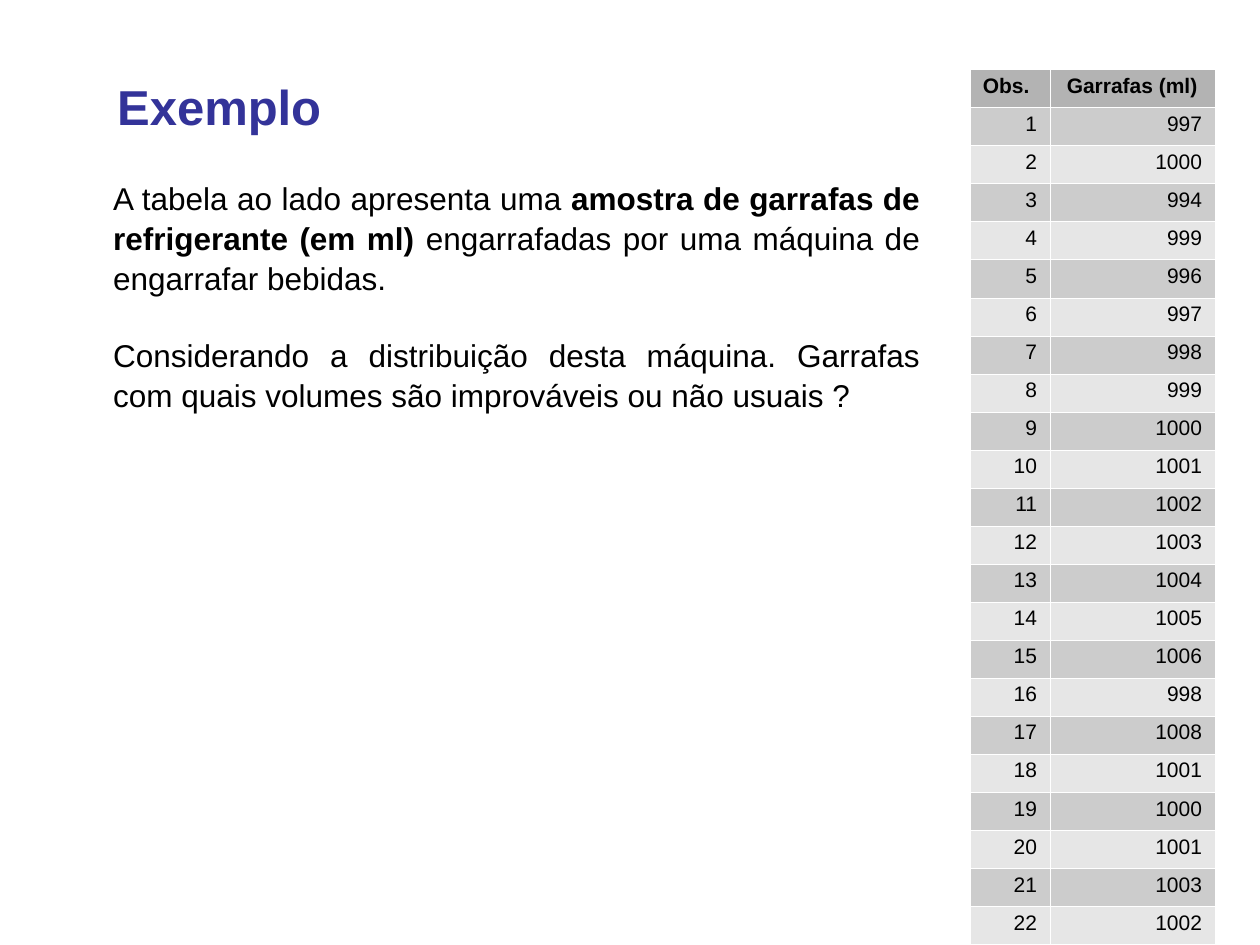
from lxml import etree
from pptx import Presentation
from pptx.dml.color import RGBColor
from pptx.enum.text import MSO_ANCHOR, PP_ALIGN
from pptx.oxml.ns import qn
from pptx.util import Inches, Pt

LEFT, CENTER, RIGHT = PP_ALIGN.LEFT, PP_ALIGN.CENTER, PP_ALIGN.RIGHT
JUSTIFY = PP_ALIGN.JUSTIFY
TOP = MSO_ANCHOR.TOP

FONT = "Arial"
COLORS = {
    "title": "333399",
    "text": "000000",
    "header": "B3B3B3",
    "odd": "CCCCCC",
    "even": "E6E6E6",
    "border": "FFFFFF",
}

# Boxes in inches: left, top, width, height
TITLE_BOX = (0.83, 0.56, 8.51, 1.18)
BODY_BOX = (0.8, 1.36, 6.6, 2.04)
TABLE_BOX = (7.7, 0.55, 1.94, 6.95)

TITLE = "Exemplo"
BODY = [
    [
        ("A tabela ao lado apresenta uma ", False),
        ("amostra de garrafas de refrigerante (em ml) ", True),
        ("engarrafadas por uma máquina de engarrafar bebidas.", False),
    ],
    [
        ("Considerando a distribuição desta máquina. Garrafas com quais "
         "volumes são improváveis ou não usuais ?", False),
    ],
]
HEADERS = ("Obs.", "Garrafas (ml)")
VOLUMES = [997, 1000, 994, 999, 996, 997, 998, 999, 1000, 1001, 1002,
           1003, 1004, 1005, 1006, 998, 1008, 1001, 1000, 1001, 1003, 1002]


def style_font(font, size, color, bold=False):
    font.name = FONT
    font.size = Pt(size)
    font.bold = bold
    font.color.rgb = RGBColor.from_string(COLORS[color])


def add_title(slide, box):
    title = slide.shapes.title
    title.left, title.top, title.width, title.height = map(Inches, box)
    text_frame = title.text_frame
    text_frame.text = TITLE
    text_frame.vertical_anchor = TOP
    paragraph = text_frame.paragraphs[0]
    paragraph.alignment = LEFT
    style_font(paragraph.runs[0].font, 28, "title", bold=True)


def add_body(slide, box):
    text_frame = slide.shapes.add_textbox(*map(Inches, box)).text_frame
    text_frame.word_wrap = True
    for index, parts in enumerate(BODY):
        paragraph = text_frame.paragraphs[0] if index == 0 else text_frame.add_paragraph()
        paragraph.alignment = JUSTIFY
        paragraph.line_spacing = 1.05
        if index:
            paragraph.space_before = Pt(21.7)  # one line
        for text, bold in parts:
            run = paragraph.add_run()
            run.text = text
            style_font(run.font, 18, "text", bold)


def set_borders(cell):
    properties = cell._tc.get_or_add_tcPr()
    for side in ("a:lnL", "a:lnR", "a:lnT", "a:lnB"):
        line = etree.SubElement(properties, qn(side), w=str(Pt(0.06)))
        fill = etree.SubElement(line, qn("a:solidFill"))
        etree.SubElement(fill, qn("a:srgbClr"), val=COLORS["border"])


def fill_cell(cell, text, alignment, color, bold):
    set_borders(cell)
    cell.fill.solid()
    cell.fill.fore_color.rgb = RGBColor.from_string(COLORS[color])
    cell.text_frame.text = text
    paragraph = cell.text_frame.paragraphs[0]
    paragraph.alignment = alignment
    paragraph.line_spacing = 0.93
    style_font(paragraph.runs[0].font, 12, "text", bold)


def add_sample_table(slide, box):
    rows = [HEADERS] + [(str(number), str(volume))
                        for number, volume in enumerate(VOLUMES, 1)]
    table = slide.shapes.add_table(len(rows), len(HEADERS), *map(Inches, box)).table
    table.first_row = table.horz_banding = False

    # Column and row sizes as shares of the box
    width, height = box[2:]
    for column, share in zip(table.columns, (0.325, 0.675)):
        column.width = Inches(width * share)
    for row in table.rows:
        row.height = Inches(height / len(rows))

    for row_index, values in enumerate(rows):
        is_header = row_index == 0
        color = "header" if is_header else ("even", "odd")[row_index % 2]
        alignments = (LEFT, CENTER) if is_header else (RIGHT, RIGHT)
        for column_index, (text, alignment) in enumerate(zip(values, alignments)):
            fill_cell(table.cell(row_index, column_index), text, alignment, color, is_header)


def main():
    presentation = Presentation()
    presentation.slide_width, presentation.slide_height = Inches(10), Inches(7.5)
    slide = presentation.slides.add_slide(presentation.slide_layouts[5])  # title only
    add_title(slide, TITLE_BOX)
    add_body(slide, BODY_BOX)
    add_sample_table(slide, TABLE_BOX)
    presentation.save("out.pptx")


if __name__ == "__main__":
    main()
